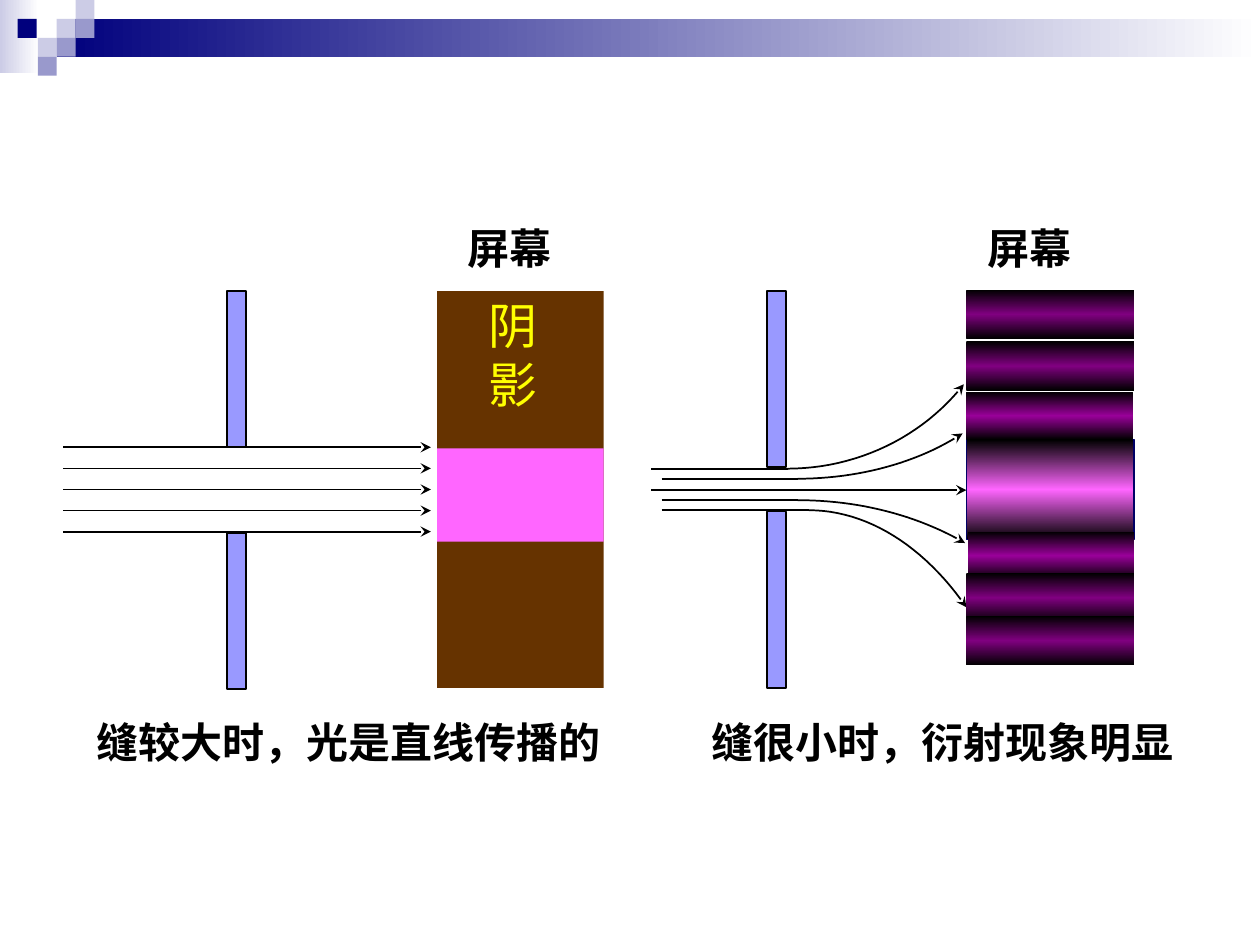
from copy import deepcopy
from dataclasses import dataclass

from lxml import etree
from pptx import Presentation
from pptx.dml.color import RGBColor
from pptx.enum.shapes import MSO_CONNECTOR, MSO_SHAPE
from pptx.oxml.ns import qn
from pptx.util import Inches, Pt

RECT = MSO_SHAPE.RECTANGLE
STRAIGHT = MSO_CONNECTOR.STRAIGHT


@dataclass(frozen=True)
class Theme:
    font: str = "Noto Sans CJK SC"
    label_size: int = 24
    shadow_size: int = 28
    line_ratio: float = 1.2
    black: str = "000000"
    white: str = "FFFFFF"
    navy: str = "00007D"
    pale: str = "CCCCE6"
    lilac: str = "9999CC"
    barrier: str = "9999FF"
    brown: str = "663300"
    pink: str = "FF66FF"
    yellow: str = "FFFF00"
    edge: str = "000066"
    inner: str = "990099"
    outer: str = "800080"


T = Theme()


def rgb(value):
    return RGBColor.from_string(value)


def add_rect(slide, x, y, w, h, colors, angle=0, line=None, width=1):
    sp = slide.shapes.add_shape(RECT, Inches(x), Inches(y), Inches(w), Inches(h))
    sp.shadow.inherit = False
    if isinstance(colors, str):
        sp.fill.solid()
        sp.fill.fore_color.rgb = rgb(colors)
    else:
        sp.fill.gradient()
        sp.fill.gradient_angle = angle
        stops = sp._element.spPr.find(".//" + qn("a:gsLst"))
        for _ in colors[2:]:
            stops.append(deepcopy(stops[0]))
        for i, (stop, color) in enumerate(zip(sp.fill.gradient_stops, colors)):
            stop.color.rgb = rgb(color)
            stop.position = i / (len(colors) - 1)
    if line:
        sp.line.color.rgb = rgb(line)
        sp.line.width = Pt(width)
    else:
        sp.line.fill.background()


def style_ray(sp, arrow):
    sp.line.color.rgb = rgb(T.black)
    sp.line.width = Pt(1)
    if arrow:
        etree.SubElement(sp.line._get_or_add_ln(), qn("a:tailEnd"), type="stealth")


def add_ray(slide, x1, x2, y, arrow=False):
    sp = slide.shapes.add_connector(
        STRAIGHT, Inches(x1), Inches(y), Inches(x2), Inches(y))
    style_ray(sp, arrow)
    etree.SubElement(sp._element.spPr, qn("a:effectLst"))


def add_curve(slide, points, steps=24):
    def at(t):
        weights = ((1 - t) ** 3, 3 * t * (1 - t) ** 2, 3 * t * t * (1 - t), t ** 3)
        return tuple(Inches(sum(w * p[i] for w, p in zip(weights, points)))
                     for i in (0, 1))

    builder = slide.shapes.build_freeform(*at(0))
    builder.add_line_segments([at(i / steps) for i in range(1, steps + 1)], close=False)
    sp = builder.convert_to_shape()
    sp.shadow.inherit = False
    sp.fill.background()
    style_ray(sp, True)


def add_text(slide, x, y, w, h, lines, size=T.label_size, color=T.black,
             bold=True, wrap=False):
    tf = slide.shapes.add_textbox(Inches(x), Inches(y), Inches(w), Inches(h)).text_frame
    tf.word_wrap = wrap
    tf.text = "\n".join(lines)
    for p in tf.paragraphs:
        p.line_spacing = Pt(size * T.line_ratio)
        p.font.size = Pt(size)
        p.font.bold = bold
        p.font.color.rgb = rgb(color)
        p.font.name = T.font
        etree.SubElement(p._p.pPr.find(qn("a:defRPr")), qn("a:ea"), typeface=T.font)


def add_header(slide):
    add_rect(slide, 0, 0, 0.31, 0.58, (T.pale, T.white))
    add_rect(slide, 0.45, 0.15, 9.55, 0.3, (T.navy, T.white))
    tiles = ((0.45, 0.15, T.pale), (0.6, 0, T.pale), (0.6, 0.15, T.lilac),
             (0.3, 0.3, T.pale), (0.14, 0.15, T.navy), (0.45, 0.3, T.lilac),
             (0.3, 0.45, T.lilac))
    for x, y, color in tiles:
        add_rect(slide, x, y, 0.15, 0.15, color)


def add_barrier(slide, x, h, lower_y):
    for y in (2.31, lower_y):
        add_rect(slide, x, y, 0.15, h, T.barrier, line=T.black)


def add_wide_slit(slide):
    add_rect(slide, 3.47, 2.31, 1.32, 3.15, T.brown)
    add_rect(slide, 3.47, 3.56, 1.32, 0.74, T.pink)
    add_barrier(slide, 1.8, 1.24, 4.23)
    for i in range(5):
        add_ray(slide, 0.5, 3.42, 3.55 + i * 0.67 / 4, arrow=True)
    add_text(slide, 3.78, 2.3, 0.59, 1.04, ("阴", "影"), T.shadow_size, T.yellow, False)
    add_text(slide, 3.61, 1.72, 0.87, 0.5, ("屏幕",))
    add_text(slide, 0.67, 5.64, 4.58, 0.5, ("缝较大时，光是直线传播的",), wrap=True)


def add_narrow_slit(slide):
    add_barrier(slide, 6.09, 1.4, 4.06)
    add_ray(slide, 5.17, 7.67, 3.89, arrow=True)
    for x1, x2, y in ((5.17, 6.25, 3.72), (5.25, 6.33, 3.8), (5.5, 6.58, 3.89),
                      (5.25, 6.33, 3.97), (5.25, 6.42, 4.05)):
        add_ray(slide, x1, x2, y)
    for points in (((6.25, 3.72), (6.8, 3.72), (7.32, 3.47), (7.65, 3.05)),
                   ((6.33, 3.8), (6.82, 3.8), (7.29, 3.67), (7.64, 3.44)),
                   ((6.33, 3.97), (6.82, 3.97), (7.28, 4.09), (7.66, 4.31)),
                   ((6.42, 4.05), (6.88, 4.05), (7.33, 4.33), (7.67, 4.82))):
        add_curve(slide, points)
    add_rect(slide, 7.67, 3.49, 1.33, 0.79, (T.black, T.pink, T.black), 90, T.edge, 0.75)
    for x, y, w, h, color in ((7.67, 3.11, 1.32, 0.38, T.inner),
                              (7.67, 2.71, 1.33, 0.39, T.outer),
                              (7.67, 2.3, 1.33, 0.39, T.outer),
                              (7.68, 4.22, 1.32, 0.38, T.inner),
                              (7.67, 4.55, 1.33, 0.39, T.outer),
                              (7.67, 4.89, 1.33, 0.39, T.outer)):
        add_rect(slide, x, y, w, h, (T.black, color, T.black), 90)
    add_text(slide, 7.74, 1.72, 0.87, 0.5, ("屏幕",))
    add_text(slide, 5.55, 5.64, 3.87, 0.5, ("缝很小时，衍射现象明显",))


def main():
    prs = Presentation()
    prs.slide_width, prs.slide_height = Inches(10), Inches(7.5)
    slide = prs.slides.add_slide(prs.slide_layouts[6])
    add_header(slide)
    add_wide_slit(slide)
    add_narrow_slit(slide)
    prs.save("out.pptx")


if __name__ == "__main__":
    main()
